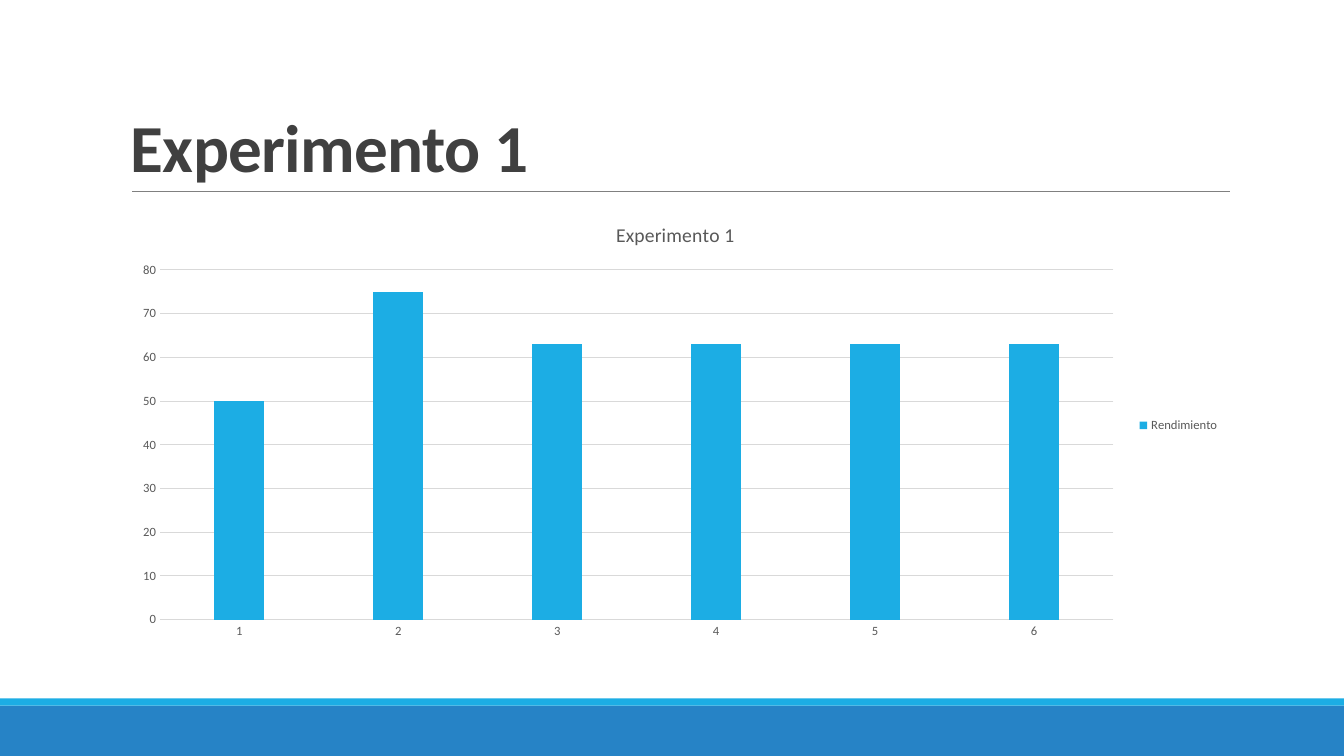
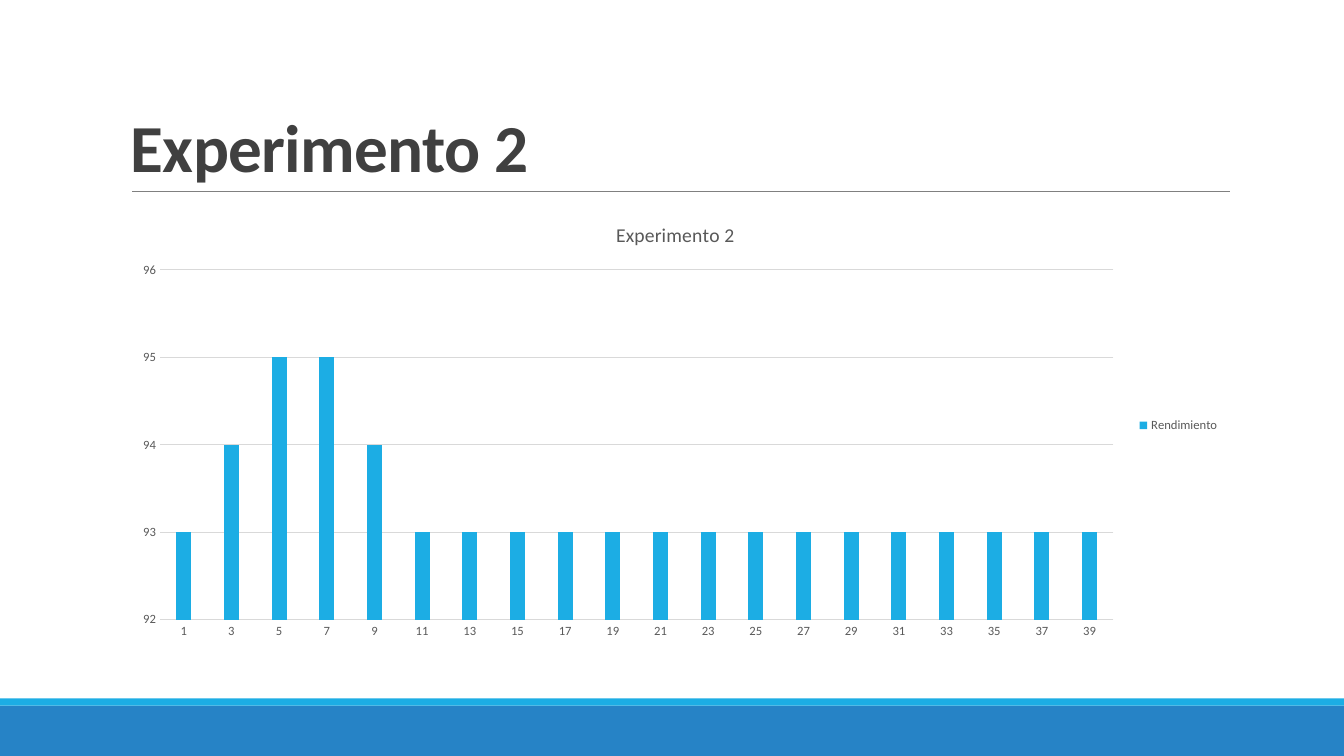
from lxml.etree import SubElement
from pptx import Presentation
from pptx.chart.data import CategoryChartData
from pptx.dml.color import RGBColor
from pptx.enum.chart import XL_CHART_TYPE, XL_LEGEND_POSITION, XL_TICK_MARK
from pptx.enum.shapes import MSO_CONNECTOR, MSO_SHAPE
from pptx.enum.text import MSO_ANCHOR
from pptx.oxml.ns import qn
from pptx.util import Cm, Pt

COLORS = {
    "band": "2683C6",
    "accent": "1CADE4",
    "rule": "808080",
    "heading": "404040",
    "label": "595959",
    "grid": "D9D9D9",
}
FONT = "Calibri"
WIDTH, HEIGHT = Cm(33.87), Cm(19.05)
BAND_HEIGHT, STRIP_HEIGHT = Cm(1.27), Cm(0.18)
TITLE_BOX = (Cm(3.05), Cm(0.79), Cm(27.94), Cm(4.04))
CHART_BOX = (Cm(3.05), Cm(5.13), Cm(27.94), Cm(11.18))
RULE_INDENT = Cm(0.28)

EXPERIMENTS = [
    {
        "title": "Experimento 1",
        "categories": range(1, 7),
        "yields": [50, 75] + [63] * 4,
        "scale": (0, 80, 10),
    },
    {
        "title": "Experimento 2",
        "categories": range(1, 40, 2),
        "yields": [93, 94, 95, 95, 94] + [93] * 15,
        "scale": (92, 96, 1),
    },
]


def color(name):
    """Return the palette colour with this name."""
    return RGBColor.from_string(COLORS[name])


def style_font(font, size, color_name, bold=False):
    """Apply the deck's typeface with a size and a colour."""
    font.name = FONT
    font.size = Pt(size)
    font.bold = bold
    font.color.rgb = color(color_name)


def style_line(line, color_name, width):
    """Give a line a solid colour and a width in points."""
    line.color.rgb = color(color_name)
    line.width = Pt(width)


def add_band(slide, top, height, color_name):
    """Draw a full-width plain band."""
    band = slide.shapes.add_shape(MSO_SHAPE.RECTANGLE, 0, top, WIDTH, height)
    band.shadow.inherit = False
    band.fill.solid()
    band.fill.fore_color.rgb = color(color_name)
    band.line.fill.background()


def add_footer(slide):
    """Draw the footer band with its accent strip above."""
    band_top = HEIGHT - BAND_HEIGHT
    add_band(slide, band_top, BAND_HEIGHT, "band")
    add_band(slide, band_top - STRIP_HEIGHT, STRIP_HEIGHT, "accent")


def add_title(slide, text, box):
    """Place the heading at the bottom of its box, with a rule beneath."""
    left, top, width, height = box
    bottom = top + height
    rule = slide.shapes.add_connector(
        MSO_CONNECTOR.STRAIGHT, left + RULE_INDENT, bottom, left + width, bottom
    )
    style_line(rule.line, "rule", 0.5)
    SubElement(rule._element.spPr, qn("a:effectLst"))

    frame = slide.shapes.add_textbox(*box).text_frame
    frame.word_wrap = True
    frame.vertical_anchor = MSO_ANCHOR.BOTTOM
    heading = frame.paragraphs[0]
    heading.text = text
    heading.line_spacing = 0.85
    style_font(heading.font, 48, "heading", bold=True)
    heading._p.get_or_add_pPr().get_or_add_defRPr().set("spc", "-50")


def style_axes(chart, scale):
    """Format both axes and fix the value scale."""
    for axis in (chart.category_axis, chart.value_axis):
        axis.major_tick_mark = axis.minor_tick_mark = XL_TICK_MARK.NONE
        style_font(axis.tick_labels.font, 9, "label")
    style_line(chart.category_axis.format.line, "grid", 0.75)

    values = chart.value_axis
    values.minimum_scale, values.maximum_scale, values.major_unit = scale
    values.format.line.fill.background()
    values.has_major_gridlines = True
    style_line(values.major_gridlines.format.line, "grid", 0.75)
    values.tick_labels.number_format = "#,##0"
    values.tick_labels.number_format_is_linked = False


def add_yield_chart(slide, experiment, box):
    """Place the column chart of an experiment's yields."""
    data = CategoryChartData()
    data.categories = [str(category) for category in experiment["categories"]]
    data.add_series("Rendimiento", experiment["yields"])
    chart = slide.shapes.add_chart(
        XL_CHART_TYPE.COLUMN_CLUSTERED, *box, data
    ).chart
    style_font(chart.font, 10, "label")

    chart.has_title = True
    caption = chart.chart_title.text_frame.paragraphs[0]
    caption.text = experiment["title"]
    style_font(caption.font, 14, "label")

    chart.has_legend = True
    chart.legend.position = XL_LEGEND_POSITION.RIGHT
    chart.legend.include_in_layout = False
    style_font(chart.legend.font, 9, "label")

    style_axes(chart, experiment["scale"])
    columns = chart.plots[0]
    columns.vary_by_categories = False
    columns.gap_width = 219
    columns.overlap = -27
    fill = columns.series[0].format.fill
    fill.solid()
    fill.fore_color.rgb = color("accent")


def add_experiment_slide(deck, experiment):
    """Build one experiment's slide."""
    slide = deck.slides.add_slide(deck.slide_layouts[6])
    add_footer(slide)
    add_title(slide, experiment["title"], TITLE_BOX)
    add_yield_chart(slide, experiment, CHART_BOX)


def main():
    """Build and save the deck."""
    deck = Presentation()
    deck.slide_width, deck.slide_height = WIDTH, HEIGHT
    for experiment in EXPERIMENTS:
        add_experiment_slide(deck, experiment)
    deck.save("out.pptx")


if __name__ == "__main__":
    main()
